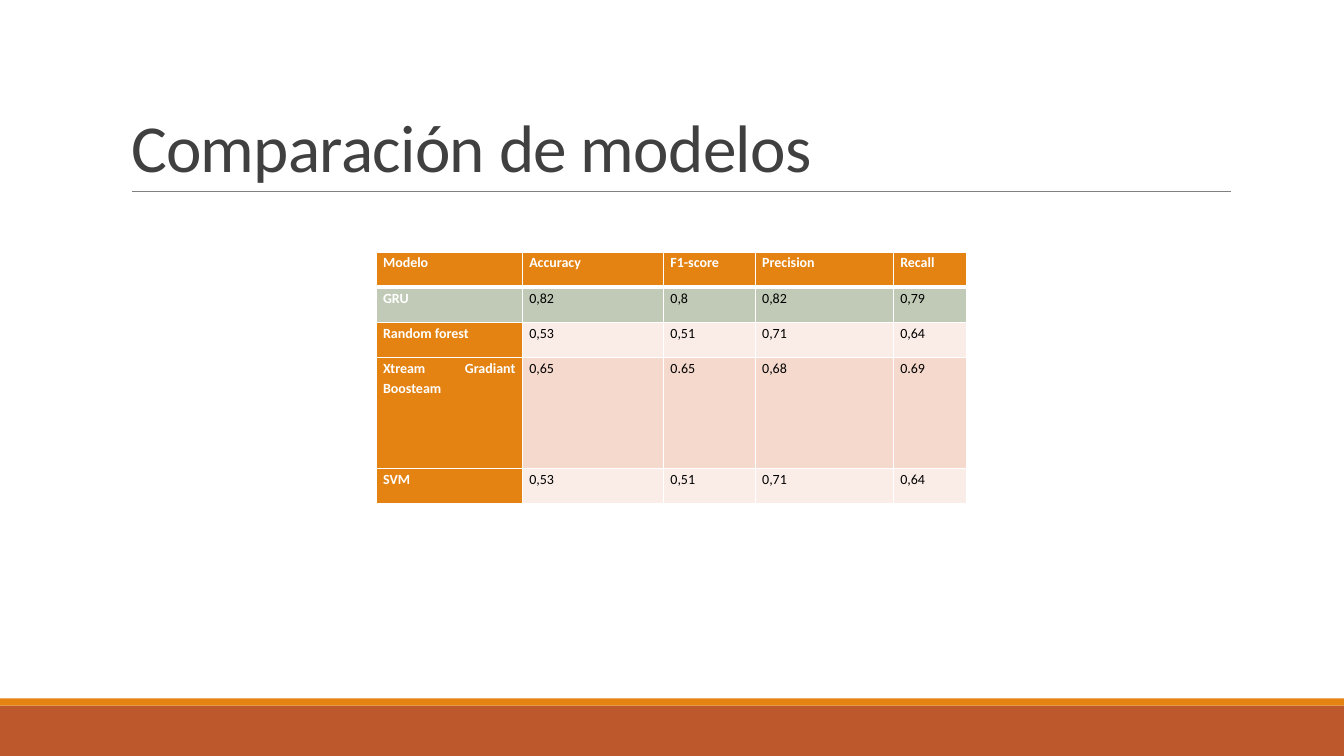
from dataclasses import dataclass

from pptx import Presentation
from pptx.dml.color import RGBColor as Color
from pptx.enum.shapes import MSO_CONNECTOR as Connector, MSO_SHAPE as Shape
from pptx.enum.text import MSO_ANCHOR as Anchor, PP_ALIGN as Align
from pptx.oxml.ns import qn
from pptx.util import Inches, Pt
from lxml.etree import SubElement


@dataclass(frozen=True)
class Theme:
    font: str = "Calibri"
    title_size: int = 48
    table_size: int = 10
    title: str = "404040"
    rule: str = "808080"
    accent: str = "E48312"
    footer: str = "BD582C"
    light: str = "FFFFFF"
    dark: str = "000000"
    best: str = "C1CAB6"
    pale: str = "FAEDE7"
    band: str = "F5D9CC"


class SlideBuilder:
    def __init__(self, slide, theme):
        self.slide = slide
        self.theme = theme

    def add_run(self, paragraph, text, size, color, bold=False):
        run = paragraph.add_run()
        run.text = text
        run.font.name = self.theme.font
        run.font.size = Pt(size)
        run.font.bold = bold
        run.font.color.rgb = Color.from_string(color)
        return run

    def add_bar(self, top, height, color):
        bar = self.slide.shapes.add_shape(
            Shape.RECTANGLE, 0, Inches(top), Inches(13.33), Inches(height))
        bar.shadow.inherit = False
        bar.fill.solid()
        bar.fill.fore_color.rgb = Color.from_string(color)
        bar.line.fill.background()

    def add_rule(self, left, right, top):
        rule = self.slide.shapes.add_connector(
            Connector.STRAIGHT, Inches(left), Inches(top), Inches(right), Inches(top))
        rule.line.color.rgb = Color.from_string(self.theme.rule)
        rule.line.width = Pt(0.5)
        SubElement(rule._element.spPr, qn("a:effectLst"))

    def set_title(self, text, left, top, width, height):
        title = self.slide.shapes.title
        title.left, title.top = Inches(left), Inches(top)
        title.width, title.height = Inches(width), Inches(height)
        frame = title.text_frame
        frame.word_wrap = True
        frame.vertical_anchor = Anchor.BOTTOM
        paragraph = frame.paragraphs[0]
        paragraph.alignment = Align.LEFT
        paragraph.line_spacing = 0.85
        run = self.add_run(paragraph, text, self.theme.title_size, self.theme.title)
        run._r.get_or_add_rPr().set("spc", "-50")

    def set_borders(self, cell, bottom, top):
        properties = cell._tc.get_or_add_tcPr()
        for side, width in (("L", 1), ("R", 1), ("T", top), ("B", bottom)):
            line = SubElement(properties, qn(f"a:ln{side}"), w=str(Pt(width)))
            fill = SubElement(line, qn("a:solidFill"))
            SubElement(fill, qn("a:srgbClr"), val=self.theme.light)

    def fill_cell(self, cell, text, fill, color, bold):
        cell.margin_left = cell.margin_right = Inches(0.07)
        cell.margin_top = cell.margin_bottom = 0
        cell.fill.solid()
        cell.fill.fore_color.rgb = Color.from_string(fill)
        paragraph = cell.text_frame.paragraphs[0]
        paragraph.alignment = Align.JUSTIFY
        paragraph.line_spacing = 1.15
        paragraph.space_after = Pt(8)
        self.add_run(paragraph, text, self.theme.table_size, color, bold)

    def add_table(self, left, top, column_widths, rows):
        theme = self.theme
        table = self.slide.shapes.add_table(
            len(rows), len(column_widths), Inches(left), Inches(top),
            Inches(sum(column_widths)), Inches(sum(row[0] for row in rows))).table
        for column, width in zip(table.columns, column_widths):
            column.width = Inches(width)
        for row_index, (height, label_fill, value_fill, texts) in enumerate(rows):
            table.rows[row_index].height = Inches(height)
            for column_index, text in enumerate(texts):
                cell = table.cell(row_index, column_index)
                heading = row_index == 0 or column_index == 0
                self.set_borders(cell, bottom=3 if row_index == 0 else 1,
                                 top=3 if row_index == 1 else 1)
                self.fill_cell(cell, text,
                               label_fill if column_index == 0 else value_fill,
                               theme.light if heading else theme.dark, heading)


def main():
    theme = Theme()
    presentation = Presentation()
    presentation.slide_width = Inches(13.33)
    presentation.slide_height = Inches(7.5)
    slide = presentation.slides.add_slide(presentation.slide_layouts[5])
    builder = SlideBuilder(slide, theme)
    builder.add_bar(7, 0.5, theme.footer)
    builder.add_bar(6.93, 0.07, theme.accent)
    builder.add_rule(1.31, 12.21, 1.9)
    builder.set_title("Comparación de modelos", 1.2, 0.31, 11, 1.59)
    builder.add_table(3.73, 2.5, (1.45, 1.4, 0.91, 1.37, 0.73), (
        (0.35, theme.accent, theme.accent,
         ("Modelo", "Accuracy", "F1-score", "Precision", "Recall")),
        (0.35, theme.best, theme.best, ("GRU", "0,82", "0,8", "0,82", "0,79")),
        (0.35, theme.accent, theme.pale,
         ("Random forest", "0,53", "0,51", "0,71", "0,64")),
        (1.1, theme.accent, theme.band,
         ("Xtream Gradiant Boosteam", "0,65", "0.65", "0,68", "0.69")),
        (0.35, theme.accent, theme.pale, ("SVM", "0,53", "0,51", "0,71", "0,64")),
    ))
    presentation.save("out.pptx")


if __name__ == "__main__":
    main()
